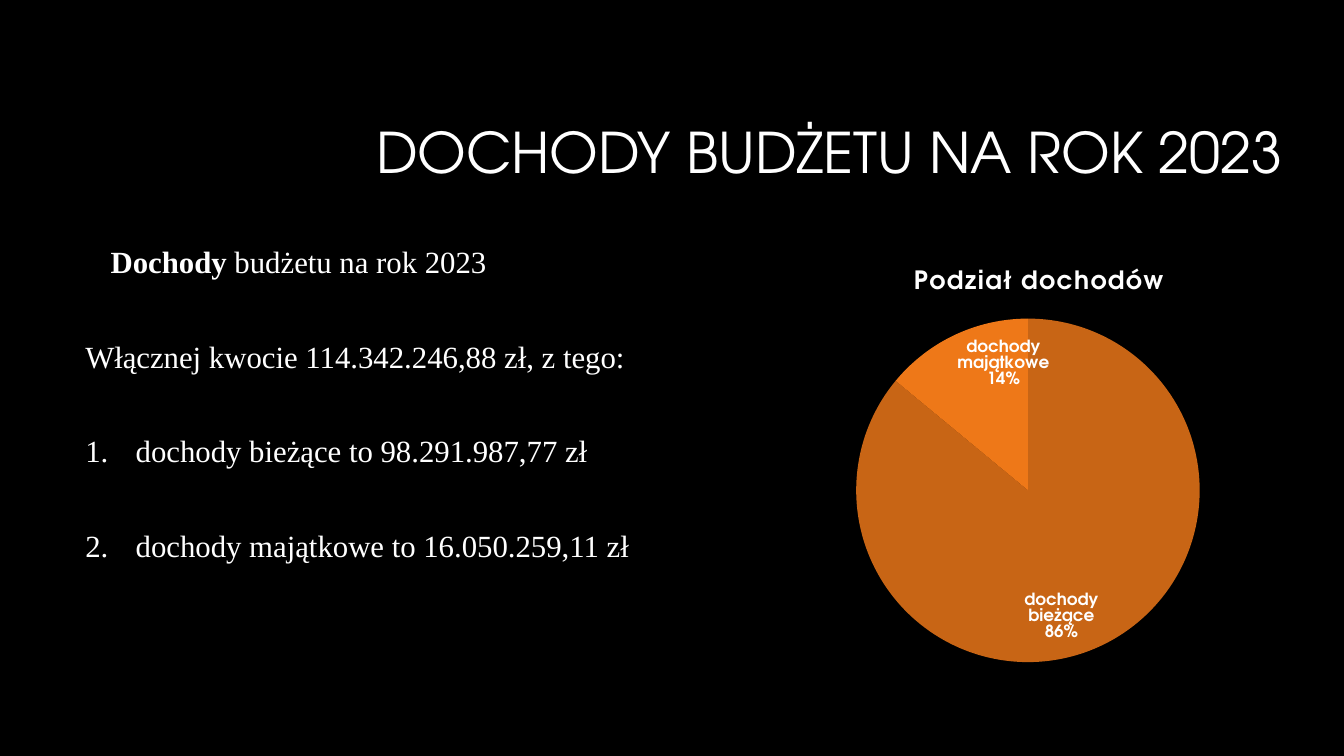
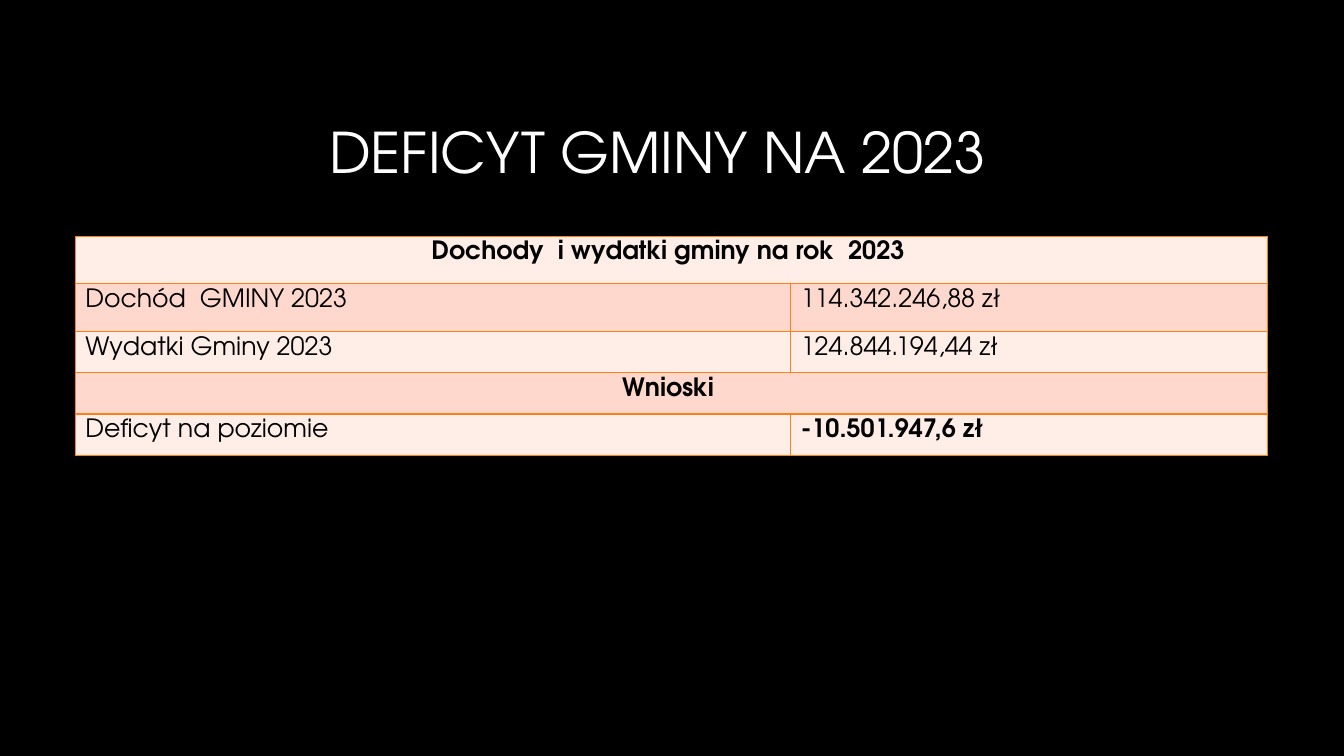
import dataclasses

import lxml.etree
import pptx
import pptx.chart.data
import pptx.dml.color
import pptx.enum.chart
import pptx.enum.text
import pptx.oxml
import pptx.oxml.ns
import pptx.util

Cm = pptx.util.Cm
Pt = pptx.util.Pt
qn = pptx.oxml.ns.qn
Align = pptx.enum.text.PP_ALIGN


@dataclasses.dataclass(frozen=True)
class Theme:
    background: str = "000000"
    light: str = "FFFFFF"
    dark: str = "000000"
    border: str = "FE801A"
    bands: tuple = ("FFEDE8", "FFD8CD")
    slices: tuple = ("C86515", "EE7818")
    heading_font: str = "TeX Gyre Adventor"
    body_font: str = "Times New Roman"
    title_size: int = 40
    body_size: int = 22
    table_size: int = 18
    chart_title_size: int = 18
    label_size: int = 12


theme = Theme()


def style_font(font, size, color, name=theme.heading_font, bold=False):
    font.size = Pt(size)
    font.name = name
    font.bold = bold
    font.color.rgb = pptx.dml.color.RGBColor.from_string(color)


def add_titled_slide(prs, title, left, width, align):
    s = prs.slides.add_slide(prs.slide_layouts[6])
    s.background.fill.solid()
    s.background.fill.fore_color.rgb = pptx.dml.color.RGBColor.from_string(theme.background)
    tf = s.shapes.add_textbox(Cm(left), Cm(2.13), Cm(width), Cm(3.58)).text_frame
    tf.word_wrap = True
    tf.vertical_anchor = pptx.enum.text.MSO_ANCHOR.MIDDLE
    p = tf.paragraphs[0]
    p.alignment = align
    p.line_spacing = 0.9
    r = p.add_run()
    r.text = title
    style_font(r.font, theme.title_size, theme.light)
    return s


prs = pptx.Presentation()
prs.slide_width = Cm(33.87)
prs.slide_height = Cm(19.05)

s = add_titled_slide(prs, "DOCHODY BUDŻETU NA ROK 2023", 6.27, 26.31, Align.RIGHT)

tf = s.shapes.add_textbox(Cm(1.9), Cm(6.1), Cm(16.5), Cm(11)).text_frame
tf.word_wrap = True
body = [
    (0.64, 0, False, [("Dochody", True), (" budżetu na rok 2023", False)]),
    (0.64, -0.64, False, [("Włącznej kwocie 114.342.246,88 zł, z tego:", False)]),
    (1.27, -1.27, True, [("dochody bieżące to 98.291.987,77 zł", False)]),
    (1.27, -1.27, True, [("dochody majątkowe to 16.050.259,11 zł", False)]),
]
for i, (margin, indent, numbered, runs) in enumerate(body):
    p = tf.paragraphs[0] if i == 0 else tf.add_paragraph()
    p.line_spacing = 0.9
    p.space_before = Pt(43.8 if i else 0)
    pPr = p._p.get_or_add_pPr()
    pPr.set("marL", str(Cm(margin)))
    pPr.set("indent", str(Cm(indent)))
    if numbered:
        lxml.etree.SubElement(pPr, qn("a:buFont"), typeface=theme.body_font)
        lxml.etree.SubElement(pPr, qn("a:buAutoNum"), type="arabicPeriod")
    for text, bold in runs:
        r = p.add_run()
        r.text = text
        style_font(r.font, theme.body_size, theme.light, theme.body_font, bold)

data = pptx.chart.data.CategoryChartData()
data.categories = ["dochody bieżące", "dochody majątkowe"]
data.add_series("Podział dochodów", (86, 14))
chart = s.shapes.add_chart(
    pptx.enum.chart.XL_CHART_TYPE.PIE, Cm(19.2), Cm(6.25), Cm(13.97), Cm(11.86), data
).chart
style_font(chart.font, theme.label_size, theme.light)
chart.has_legend = False
chart.has_title = True
p = chart.chart_title.text_frame.paragraphs[0]
r = p.add_run()
r.text = "Podział dochodów"
style_font(r.font, theme.chart_title_size, theme.light, bold=True)
r._r.get_or_add_rPr().set("spc", "100")
chart.chart_title.include_in_layout = False

plot = chart.plots[0]
plot.vary_by_categories = True
for i, color in enumerate(theme.slices):
    fill = plot.series[0].points[i].format.fill
    fill.solid()
    fill.fore_color.rgb = pptx.dml.color.RGBColor.from_string(color)
plot.has_data_labels = True
labels = plot.data_labels
labels.show_category_name = True
labels.show_percentage = True
labels.show_value = False
labels.position = pptx.enum.chart.XL_LABEL_POSITION.INSIDE_END
style_font(labels.font, theme.label_size, theme.light, bold=True)
separator = lxml.etree.Element(qn("c:separator"))
separator.text = "\n"
labels._element.find(qn("c:showBubbleSize")).addnext(separator)

area = chart._chartSpace.find(".//" + qn("c:plotArea"))
for old in area.findall(qn("c:layout")):
    area.remove(old)
layout = lxml.etree.Element(qn("c:layout"))
manual = lxml.etree.SubElement(layout, qn("c:manualLayout"))
for tag, val in [
    ("layoutTarget", "inner"), ("xMode", "edge"), ("yMode", "edge"),
    ("x", "0.17"), ("y", "0.15"), ("w", "0.62"), ("h", "0.73"),
]:
    lxml.etree.SubElement(manual, qn("c:" + tag), val=val)
area.insert(0, layout)

s = add_titled_slide(prs, "DEFICYT GMINY NA 2023", 8.05, 23.93, Align.LEFT)

rows = [
    ("Dochody  i wydatki gminy na rok  2023 ",),
    ("Dochód  GMINY 2023", "114.342.246,88 zł"),
    ("Wydatki Gminy 2023", "124.844.194,44 zł"),
    ("Wnioski ",),
    ("Deficyt na poziomie", "-10.501.947,6 zł"),
]
widths = [18.03, 12.02]
heights = [1.2, 1.2, 1.04, 1.04, 1.04]
table = s.shapes.add_table(
    len(rows), len(widths), Cm(1.9), Cm(5.95), Cm(sum(widths)), Cm(sum(heights))
).table
table.first_row = False
table.horz_banding = False
for column, width in zip(table.columns, widths):
    column.width = Cm(width)
for i, (texts, height) in enumerate(zip(rows, heights)):
    table.rows[i].height = Cm(height)
    heading = len(texts) == 1
    if heading:
        table.cell(i, 0).merge(table.cell(i, 1))
    for j in range(len(widths)):
        cell = table.cell(i, j)
        cell.margin_left = cell.margin_right = Cm(0.25)
        cell.margin_top = cell.margin_bottom = Cm(0.13)
        tcPr = cell._tc.get_or_add_tcPr()
        for side in ("lnL", "lnR", "lnT", "lnB"):
            ln = lxml.etree.SubElement(tcPr, qn("a:" + side), w=str(Pt(1)))
            solid = lxml.etree.SubElement(ln, qn("a:solidFill"))
            lxml.etree.SubElement(solid, qn("a:srgbClr"), val=theme.border)
        cell.fill.solid()
        cell.fill.fore_color.rgb = pptx.dml.color.RGBColor.from_string(theme.bands[i % 2])
        if j < len(texts):
            p = cell.text_frame.paragraphs[0]
            p.alignment = Align.CENTER if heading else Align.LEFT
            r = p.add_run()
            r.text = texts[j]
            bold = heading or (i == len(rows) - 1 and j == 1)
            style_font(r.font, theme.table_size, theme.dark, bold=bold)

prs.save("out.pptx")
